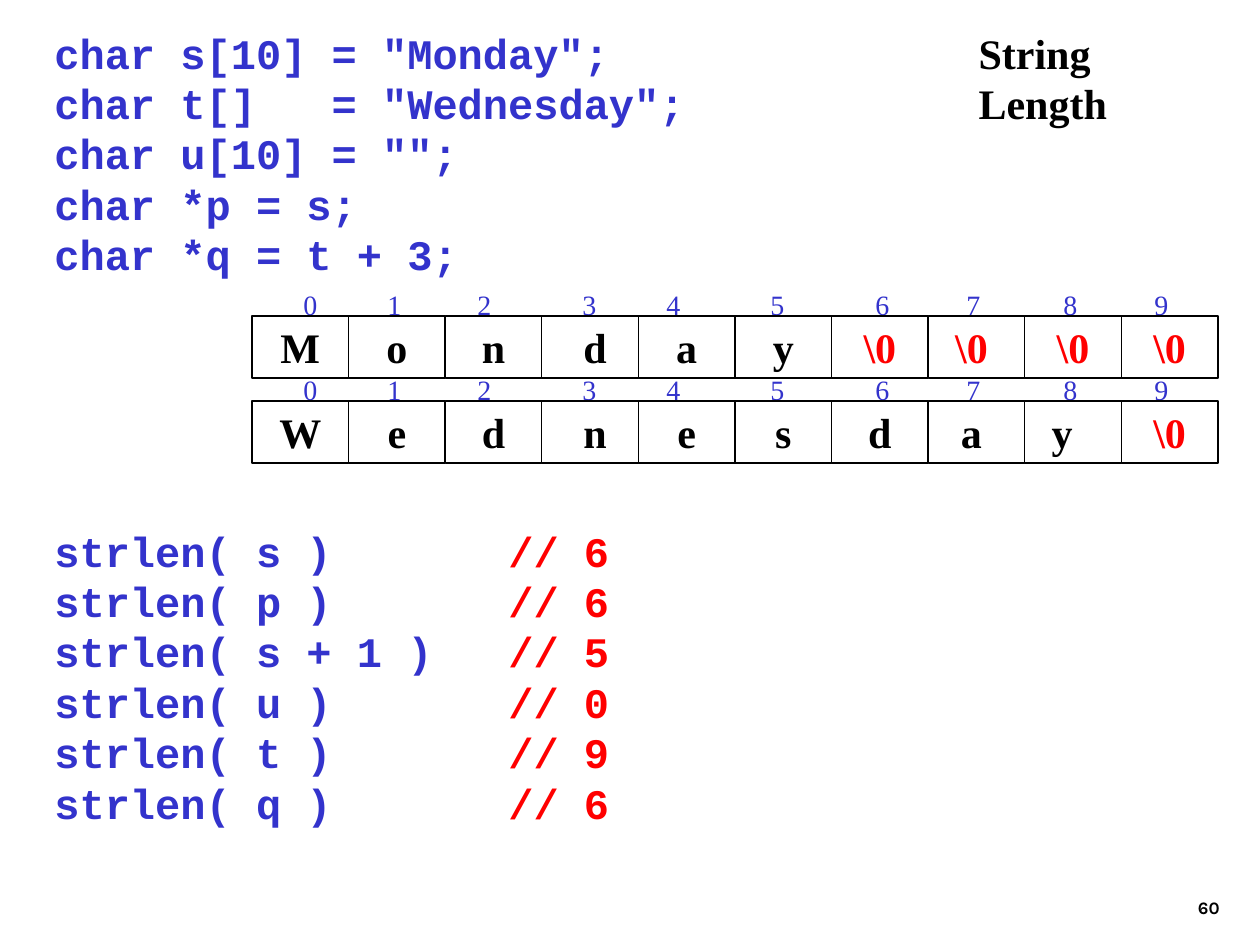
from dataclasses import dataclass

from lxml.etree import SubElement
from pptx import Presentation
from pptx.dml.color import RGBColor as RGB
from pptx.enum.shapes import MSO_SHAPE as Shape
from pptx.enum.text import MSO_ANCHOR as Anchor, MSO_AUTO_SIZE as AutoSize, PP_ALIGN as Align
from pptx.oxml.ns import qn
from pptx.util import Pt

PX = 914400 // 126  # EMU in one px


@dataclass(frozen=True)
class Theme:
    ink: RGB = RGB(0, 0, 0)
    code: RGB = RGB(0x33, 0x33, 0xCC)
    accent: RGB = RGB(0xFF, 0, 0)
    serif: str = "Times New Roman"
    mono: str = "Courier New"
    number_font: str = "Karla"
    large: int = 24
    index: int = 16
    small: int = 10


THEME = Theme()

# Content
TITLE = "String Length"
PAGE = "60"
DECLARATIONS = [
    'char s[10] = "Monday";',
    'char t[]   = "Wednesday";',
    'char u[10] = "";',
    "char *p = s;",
    "char *q = t + 3;",
]
CALLS = [
    ("strlen( s )", "// 6"),
    ("strlen( p )", "// 6"),
    ("strlen( s + 1 )", "// 5"),
    ("strlen( u )", "// 0"),
    ("strlen( t )", "// 9"),
    ("strlen( q )", "// 6"),
]
NUL = "\\0"
# Top of the row, its characters, and the px by which some are set off centre
ARRAYS = [
    (401, [*"Wednesday", NUL], {3: 5, 7: -5, 8: -11}),
    (316, [*"Monday", NUL, NUL, NUL, NUL], {3: 5, 7: -5}),
]

# Layout, in px
TITLE_BOX = (966, 21, 276, 63)
PAGE_BOX = (970, 861, 262, 63)
DECLARATIONS_BOX = (42, 21, 935, 315)
CALLS_BOX = (42, 519, 809, 365)
COMMENT_TAB = 454
ROW_LEFT, ROW_WIDTH, ROW_HEIGHT = 252, 966, 62
INDEX_RISE = 43  # index line starts this far above its row
INDEX_TABS = [39, 123, 213, 318, 402, 506, 611, 702, 799, 890]
INSET = 13


def emu(box):
    return [round(value * PX) for value in box]


def set_frame(shape, anchor=Anchor.TOP, wrap=True):
    frame = shape.text_frame
    frame.auto_size = AutoSize.NONE
    frame.word_wrap = wrap
    frame.vertical_anchor = anchor
    return frame


def set_tabs(paragraph, stops):
    tab_list = SubElement(paragraph._p.get_or_add_pPr(), qn("a:tabLst"))
    for stop in stops:
        SubElement(tab_list, qn("a:tab"), pos=str(stop * PX), algn="l")


def style(paragraph, font=THEME.serif, size=THEME.large, color=THEME.ink,
          bold=True, align=Align.LEFT):
    paragraph.alignment = align
    paragraph.font.name = font
    paragraph.font.size = Pt(size)
    paragraph.font.bold = bold
    paragraph.font.color.rgb = color


def add_code(slide, box, lines):
    frame = set_frame(slide.shapes.add_textbox(*emu(box)))
    for number, (code, comment) in enumerate(lines):
        paragraph = frame.add_paragraph() if number else frame.paragraphs[0]
        if comment:
            set_tabs(paragraph, [COMMENT_TAB])
        style(paragraph, THEME.mono, color=THEME.code)
        paragraph.add_run().text = code
        if comment:
            run = paragraph.add_run()
            run.text = "\t" + comment
            run.font.color.rgb = THEME.accent


def add_array(slide, top, characters, nudges):
    group = slide.shapes.add_group_shape()

    # Index line
    box = (ROW_LEFT, top - INDEX_RISE, ROW_WIDTH, ROW_HEIGHT)
    frame = set_frame(group.shapes.add_textbox(*emu(box)), Anchor.MIDDLE, wrap=False)
    paragraph = frame.paragraphs[0]
    set_tabs(paragraph, INDEX_TABS)
    style(paragraph, size=THEME.index, color=THEME.code, bold=False)
    paragraph.add_run().text = "".join(f"\t{i}" for i in range(len(characters)))

    # Cells
    width = ROW_WIDTH / len(characters)
    for i, character in enumerate(characters):
        box = (ROW_LEFT + i * width, top, width, ROW_HEIGHT)
        cell = group.shapes.add_shape(Shape.RECTANGLE, *emu(box))
        cell.shadow.inherit = False
        cell.fill.background()
        cell.line.color.rgb = THEME.ink
        cell.line.width = Pt(0.75)
        frame = set_frame(cell, Anchor.MIDDLE, wrap=False)
        nudge = nudges.get(i, 0)
        frame.margin_left = (INSET + nudge) * PX
        frame.margin_right = (INSET - nudge) * PX
        frame.text = character
        color = THEME.accent if character == NUL else THEME.ink
        style(frame.paragraphs[0], color=color, align=Align.CENTER)


def main():
    presentation = Presentation()
    presentation.slide_width, presentation.slide_height = emu((1260, 945))
    slide = presentation.slides.add_slide(presentation.slide_layouts[5])

    # Title
    title = slide.shapes.title
    title.left, title.top, title.width, title.height = emu(TITLE_BOX)
    frame = set_frame(title, wrap=False)
    frame.text = TITLE
    style(frame.paragraphs[0])

    # Code and arrays
    add_code(slide, CALLS_BOX, CALLS)
    add_code(slide, DECLARATIONS_BOX, [(line, "") for line in DECLARATIONS])
    for top, characters, nudges in ARRAYS:
        add_array(slide, top, characters, nudges)

    # Page number
    frame = set_frame(slide.shapes.add_textbox(*emu(PAGE_BOX)), Anchor.BOTTOM)
    frame.text = PAGE
    style(frame.paragraphs[0], THEME.number_font, THEME.small, align=Align.RIGHT)

    presentation.save("out.pptx")


if __name__ == "__main__":
    main()
